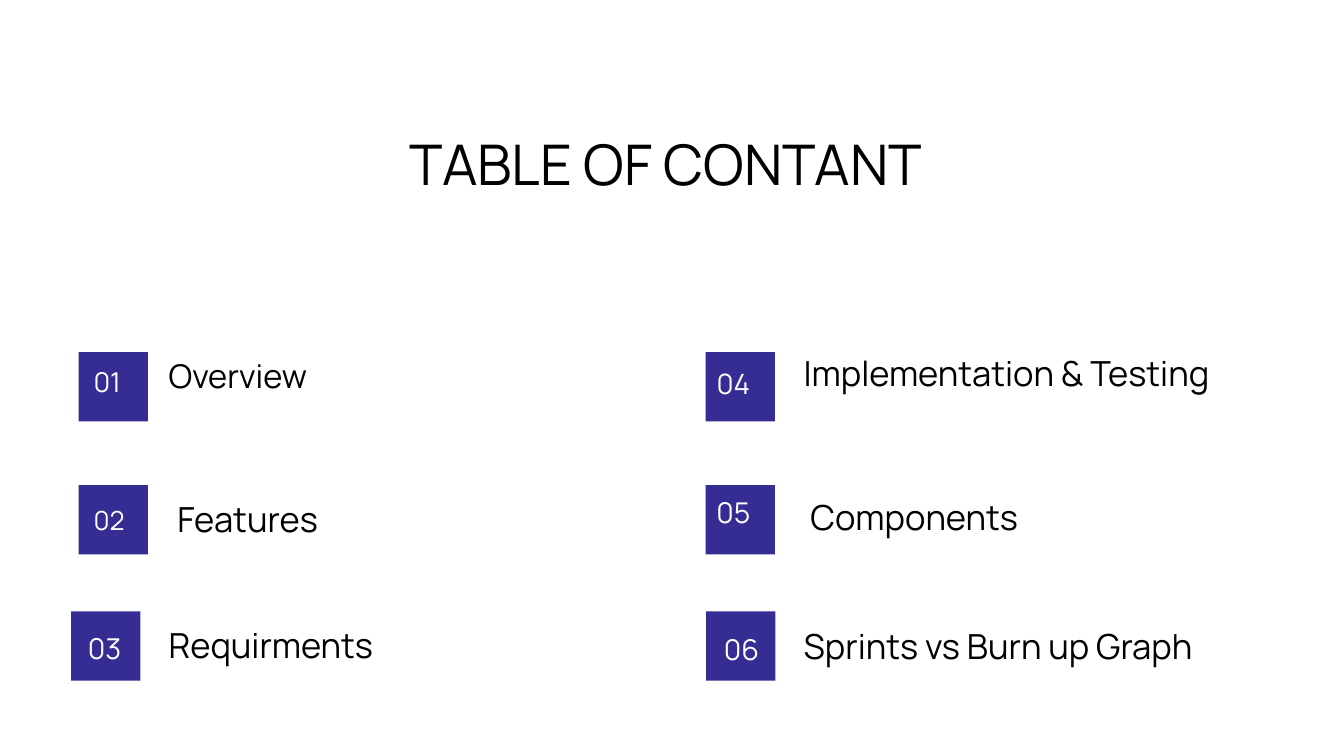
from pptx import Presentation
from pptx.dml.color import RGBColor
from pptx.enum import shapes, text
from pptx.util import Inches, Pt

FONT = "Manrope"
INDIGO = RGBColor(0x35, 0x2D, 0x94)
BLACK = RGBColor(0, 0, 0)
WHITE = RGBColor(255, 255, 255)
SQUARE = 1.03

# Each entry: square (left, top), number, number box (left, top, width, height),
# number size, label, label (left, top), label size
ENTRIES = [
    ((1.17, 5.24), "01", (1.12, 5.36, 0.95, 0.58), 29.3, "Overview", (2.51, 5.15), 35),
    ((1.17, 7.22), "02", (1.17, 7.42, 0.91, 0.56), 28.2, "Features", (2.64, 7.26), 37),
    ((1.06, 9.1), "03", (1.06, 9.3, 0.99, 0.61), 30.8, "Requirments", (2.51, 9.13), 37),
    ((10.5, 5.24), "04", (10.43, 5.37, 0.97, 0.58), 30, "Implementation & Testing", (11.96, 5.08), 37),
    ((10.5, 7.22), "05", (10.42, 7.28, 0.99, 0.61), 30.7, "Components", (12.06, 7.22), 37),
    ((10.51, 9.1), "06", (10.54, 9.31, 0.99, 0.61), 30.7, "Sprints vs Burn up Graph", (11.96, 9.14), 37),
]


def write(shape, wording, size, color, spacing, alignment):
    """Fill a shape with one line of text, without margins."""
    frame = shape.text_frame
    frame.text = wording
    frame.word_wrap = True
    frame.auto_size = text.MSO_AUTO_SIZE.NONE
    frame.vertical_anchor = text.MSO_ANCHOR.TOP
    frame.margin_left = frame.margin_right = 0
    frame.margin_top = frame.margin_bottom = 0
    paragraph = frame.paragraphs[0]
    paragraph.alignment = alignment
    paragraph.line_spacing = Pt(spacing)
    paragraph.space_before = Pt(0)
    font = paragraph.runs[0].font
    font.name, font.size, font.color.rgb = FONT, Pt(size), color


def add_title(slide, left, top, width, height):
    title = slide.shapes.title
    title.left, title.top = Inches(left), Inches(top)
    title.width, title.height = Inches(width), Inches(height)
    write(title, "TABLE OF CONTANT", 60, BLACK, 61.2, text.PP_ALIGN.CENTER)


def add_entry(slide, square_at, number, number_box, number_size, label, label_at, label_size):
    # Coloured square
    square = slide.shapes.add_shape(
        shapes.MSO_SHAPE.RECTANGLE, *map(Inches, (*square_at, SQUARE, SQUARE)))
    square.shadow.inherit = False
    square.fill.solid()
    square.fill.fore_color.rgb = INDIGO
    square.line.fill.background()

    # Number on the square
    number_text = slide.shapes.add_textbox(*map(Inches, number_box))
    write(number_text, number, number_size, WHITE, round(number_size * 1.4, 1),
          text.PP_ALIGN.CENTER)

    # Label beside it
    label_text = slide.shapes.add_textbox(*map(Inches, (*label_at, 6.91, 0.78)))
    write(label_text, label, label_size, BLACK, label_size * 1.5, text.PP_ALIGN.LEFT)


def main():
    presentation = Presentation()
    presentation.slide_width, presentation.slide_height = Inches(20), Inches(11.25)
    slide = presentation.slides.add_slide(presentation.slide_layouts[5])
    slide.background.fill.solid()
    slide.background.fill.fore_color.rgb = WHITE

    add_title(slide, 3.2, 2.07, 13.42, 0.95)
    for entry in ENTRIES:
        add_entry(slide, *entry)

    presentation.save("out.pptx")


if __name__ == "__main__":
    main()
